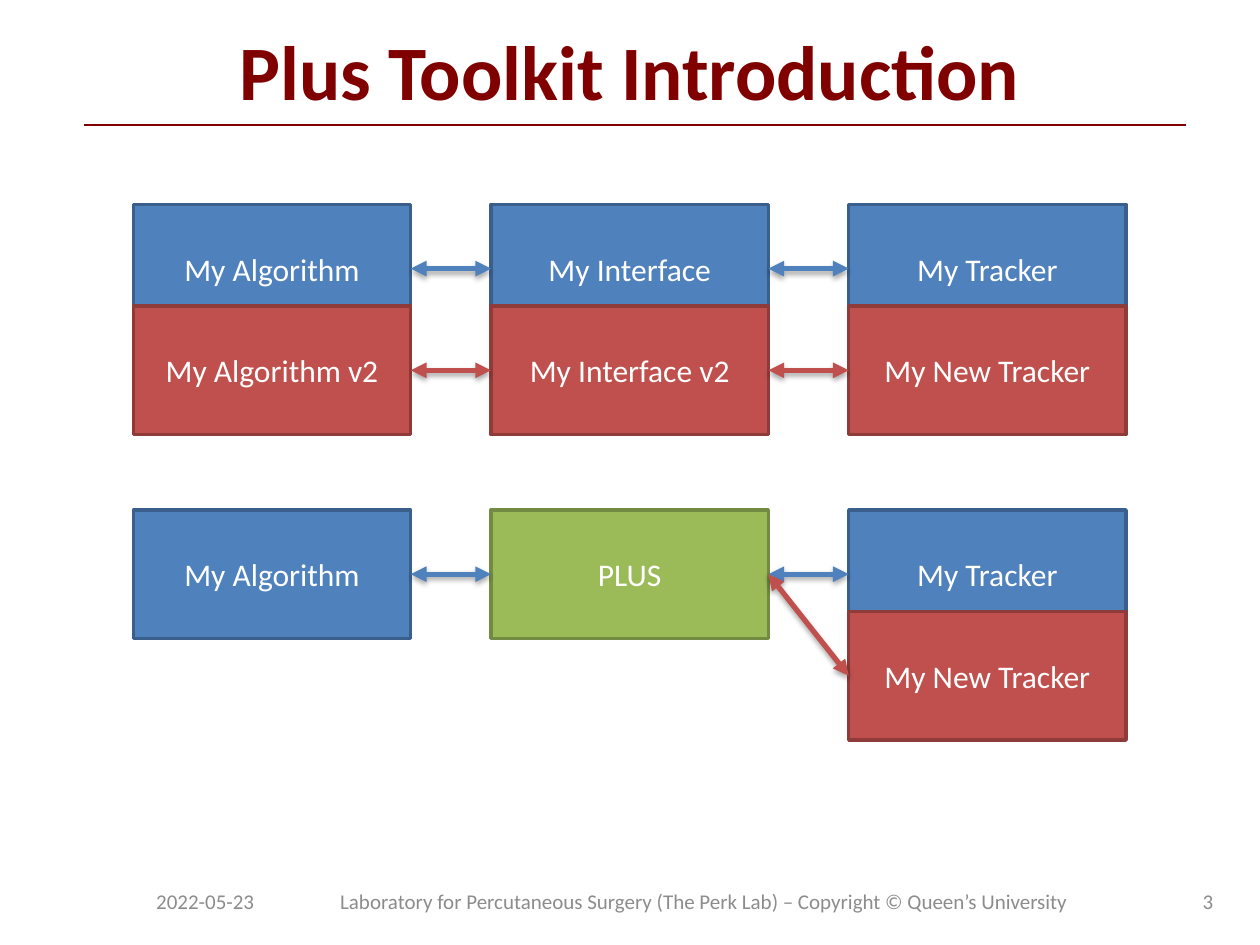
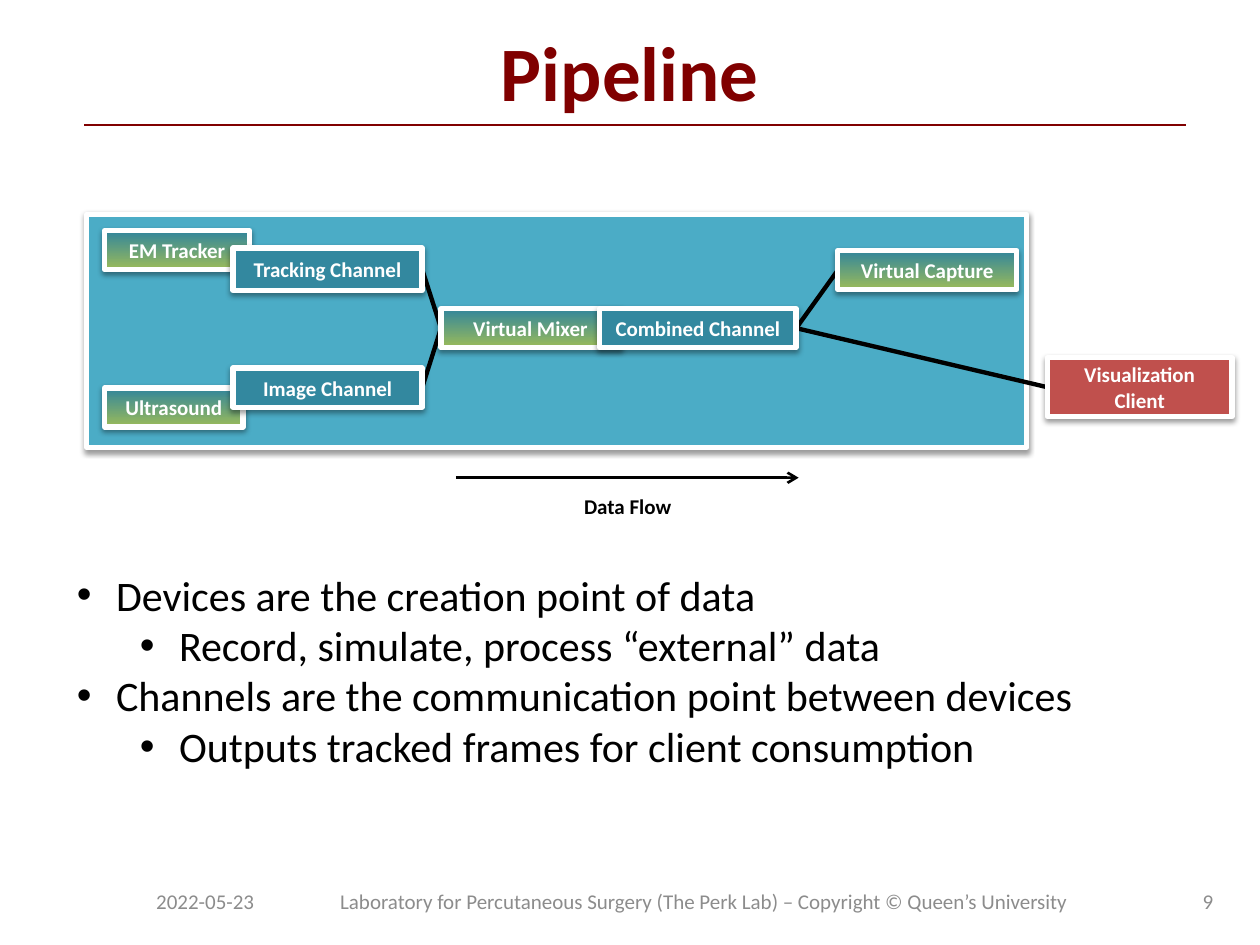
from itertools import pairwise

from lxml import etree
from pptx import Presentation
from pptx import util as u
from pptx.dml.color import RGBColor
from pptx.enum import shapes, text
from pptx.oxml.ns import qn

FONT = "Calibri"
MAROON, GREY, BLACK, WHITE = "800000", "8C8C8C", "000000", "FFFFFF"
BLUE, RED, GREEN = ("4F81BD", "3A5F8C"), ("C0504D", "8E3B39"), ("9BBB59", "738A42")
PANEL, CHANNEL, CLIENT = "4BACC6", "33889F", "C0504D"
DEVICE = ("31859C", "9BBB59")
FOOTER = "Laboratory for Percutaneous Surgery (The Perk Lab) – Copyright © Queen’s University"

LEFT, CENTER, RIGHT = text.PP_ALIGN.LEFT, text.PP_ALIGN.CENTER, text.PP_ALIGN.RIGHT
LEFT_SITE, RIGHT_SITE = 1, 3
COLUMN_LEFT, COLUMN_STEP = 2.69, 7.21
VERSION_STEP = 2.05


def rgb(value):
    return RGBColor.from_string(value)


def cm(*lengths):
    return [u.Cm(length) for length in lengths]


def write(frame, content, size=12, color=BLACK, bold=False, align=LEFT,
          anchor=text.MSO_ANCHOR.MIDDLE, wrap=True):
    frame.auto_size = text.MSO_AUTO_SIZE.NONE
    frame.word_wrap = wrap
    frame.vertical_anchor = anchor
    paragraph = frame.paragraphs[0]
    paragraph.text = content
    paragraph.alignment = align
    style(paragraph.font, size, color, bold)


def style(font, size, color, bold=False):
    font.name, font.size, font.bold = FONT, u.Pt(size), bold
    font.color.rgb = rgb(color)


def label(slide, place, content, **style_options):
    box = slide.shapes.add_textbox(*cm(*place))
    write(box.text_frame, content, **style_options)


def set_shadow(properties, opacity, distance):
    """Put a soft downward shadow in the effect list, or none at zero opacity."""
    effects = properties.find(qn("a:effectLst"))
    if effects is None:
        effects = etree.SubElement(properties, qn("a:effectLst"))
    if opacity:
        outer = etree.SubElement(effects, qn("a:outerShdw"), blurRad="40000",
                                 dist=str(u.Pt(distance)), dir="5400000", rotWithShape="0")
        tint = etree.SubElement(outer, qn("a:srgbClr"), val=BLACK)
        etree.SubElement(tint, qn("a:alpha"), val=str(opacity * 1000))


def rectangle(slide, place, fill, outline, width):
    """Draw a box; a pair of fill colours runs from top to bottom."""
    box = slide.shapes.add_shape(shapes.MSO_SHAPE.RECTANGLE, *cm(*place))
    box.shadow.inherit = False
    if isinstance(fill, tuple):
        box.fill.gradient()
        box.fill.gradient_angle = 270
        for stop, color in zip(box.fill.gradient_stops, fill):
            stop.color.rgb = rgb(color)
    else:
        box.fill.solid()
        box.fill.fore_color.rgb = rgb(fill)
    box.line.color.rgb = rgb(outline)
    box.line.width = u.Pt(width)
    return box


def line(slide, ends, color, width, head=None, tail=None, shadow=0):
    connector = slide.shapes.add_connector(shapes.MSO_CONNECTOR.STRAIGHT, *cm(*ends))
    connector.line.color.rgb = rgb(color)
    connector.line.width = u.Pt(width)
    outline = connector.line._ln
    for tag, kind in (("a:headEnd", head), ("a:tailEnd", tail)):
        if kind:
            etree.SubElement(outline, qn(tag), type=kind)
    set_shadow(connector._element.spPr, shadow, 1.8)
    return connector


def join(slide, source, target, color, width, **line_options):
    """Connect the right side of source to the left side of target."""
    connector = line(slide, (0, 0, 0, 0), color, width, **line_options)
    connector.begin_connect(source, RIGHT_SITE)
    connector.end_connect(target, LEFT_SITE)
    return connector


def start_slide(deck, title, number, title_top):
    """Add a slide with the shared title, rule and footer."""
    slide = deck.slides.add_slide(deck.slide_layouts[5])
    heading = slide.shapes.title
    heading.left, heading.top, heading.width, heading.height = cm(1.27, title_top, 22.86, 2.57)
    write(heading.text_frame, title, size=44, color=MAROON, bold=True, align=CENTER)
    line(slide, (1.7, 2.52, 23.9, 2.52), MAROON, 0.75)
    for left, width, content, align in ((2.9, 2.59, "2022-05-23", LEFT),
                                        (5.89, 16.61, FOOTER, CENTER),
                                        (22.91, 1.8, str(number), RIGHT)):
        label(slide, (left, 17.65, width, 1.02), content, color=GREY, align=align)
    return slide


def component(slide, column, top, name, colors):
    place = (COLUMN_LEFT + column * COLUMN_STEP, top, 5.59, 2.59)
    box = rectangle(slide, place, *colors, 2)
    write(box.text_frame, name, size=18, color=WHITE, align=CENTER)
    return box


def exchange(slide, source, target, colors):
    join(slide, source, target, colors[0], 3, head="triangle", tail="triangle", shadow=35)


def component_row(slide, top, names, colors):
    """Draw a row of components with two-way arrows between neighbours."""
    row = [component(slide, column, top, name, pair)
           for column, (name, pair) in enumerate(zip(names, colors))]
    for source, target in pairwise(row):
        exchange(slide, source, target, colors[0])
    return row


def pipeline_box(slide, place, fill, name=""):
    box = rectangle(slide, place, fill, WHITE, 3)
    set_shadow(box._element.spPr, 38, 1.6)
    if name:
        write(box.text_frame, name, color=WHITE, bold=True, align=CENTER)
    return box


def bullets(slide, place, items):
    frame = slide.shapes.add_textbox(*cm(*place)).text_frame
    frame.word_wrap = True
    for index, (level, content) in enumerate(items):
        paragraph = frame.paragraphs[0] if index == 0 else frame.add_paragraph()
        paragraph.text = content
        paragraph.level = level
        properties = paragraph._p.get_or_add_pPr()
        properties.set("marL", str(u.Cm(0.79 + 1.27 * level)))
        properties.set("indent", str(u.Cm(-0.79)))
        etree.SubElement(properties, qn("a:buFont"), typeface="Arial")
        etree.SubElement(properties, qn("a:buChar"), char="•")
        style(paragraph.font, 24, BLACK)


def build_introduction(deck):
    slide = start_slide(deck, "Plus Toolkit Introduction", 3, 0.13)
    direct_top, plus_top = 4.12, 10.28
    component_row(slide, direct_top, ("My Algorithm", "My Interface", "My Tracker"), [BLUE] * 3)
    component_row(slide, direct_top + VERSION_STEP,
                  ("My Algorithm v2", "My Interface v2", "My New Tracker"), [RED] * 3)
    _, plus, _ = component_row(slide, plus_top, ("My Algorithm", "PLUS", "My Tracker"),
                               (BLUE, GREEN, BLUE))
    new_tracker = component(slide, 2, plus_top + VERSION_STEP, "My New Tracker", RED)
    exchange(slide, plus, new_tracker, RED)


def build_pipeline(deck):
    slide = start_slide(deck, "Pipeline", 9, 0.15)
    panel = pipeline_box(slide, (1.75, 4.32, 18.95, 4.7), PANEL)
    pipeline_box(slide, (2.11, 4.65, 2.92, 0.79), DEVICE, "EM Tracker")
    pipeline_box(slide, (2.11, 7.82, 2.79, 0.79), DEVICE, "Ultrasound")
    image = pipeline_box(slide, (4.7, 7.42, 3.81, 0.79), CHANNEL, "Image Channel")
    tracking = pipeline_box(slide, (4.7, 5, 3.81, 0.86), CHANNEL, "Tracking Channel")
    mixer = pipeline_box(slide, (8.89, 6.22, 3.61, 0.79), DEVICE, "Virtual Mixer")
    capture = pipeline_box(slide, (16.89, 5.05, 3.61, 0.79), DEVICE, "Virtual Capture")
    combined = pipeline_box(slide, (12.09, 6.22, 3.96, 0.79), CHANNEL, "Combined Channel")
    client = pipeline_box(slide, (21.11, 7.21, 3.73, 1.19), CLIENT, "Visualization Client")

    for source, target in ((tracking, mixer), (image, mixer),
                           (combined, capture), (combined, client)):
        flow = join(slide, source, target, BLACK, 2.5)
        panel._element.addnext(flow._element)  # behind the boxes, in front of the panel

    line(slide, (9.19, 9.63, 16.1, 9.63), BLACK, 1.5, tail="arrow")
    label(slide, (11.51, 9.83, 2.29, 0.76), "Data Flow", bold=True, align=CENTER, wrap=False)
    bullets(slide, (1.3, 11.35, 23.01, 4.37), (
        (0, "Devices are the creation point of data"),
        (1, "Record, simulate, process “external” data"),
        (0, "Channels are the communication point between devices"),
        (1, "Outputs tracked frames for client consumption"),
    ))


def main():
    deck = Presentation()
    deck.slide_width, deck.slide_height = cm(25.4, 19.05)
    build_introduction(deck)
    build_pipeline(deck)
    deck.save("out.pptx")


if __name__ == "__main__":
    main()
